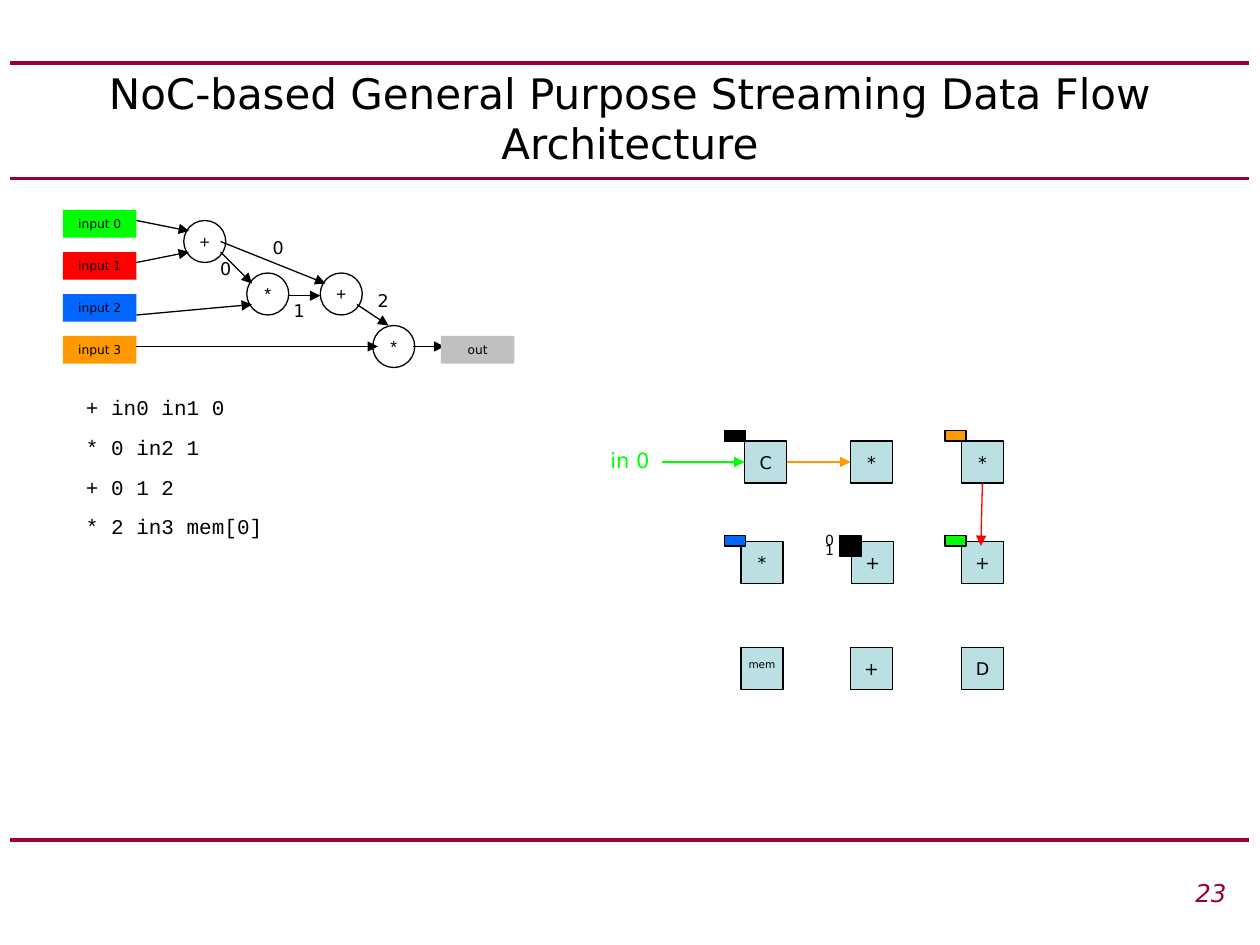
from lxml import etree
from pptx import Presentation
from pptx.dml.color import RGBColor
from pptx.enum.shapes import MSO_CONNECTOR, MSO_SHAPE
from pptx.enum.text import MSO_ANCHOR, PP_ALIGN
from pptx.oxml.ns import qn
from pptx.util import Pt

BLACK = RGBColor(0x00, 0x00, 0x00)
WHITE = RGBColor(0xFF, 0xFF, 0xFF)
MAROON = RGBColor(0x99, 0x00, 0x33)
TEAL = RGBColor(0xBB, 0xE0, 0xE3)
GREEN = RGBColor(0x00, 0xFF, 0x00)
RED = RGBColor(0xFF, 0x00, 0x00)
BLUE = RGBColor(0x00, 0x66, 0xFF)
ORANGE = RGBColor(0xFF, 0x99, 0x00)
GREY = RGBColor(0xC0, 0xC0, 0xC0)
SANS, ROUND, MONO = "DejaVu Sans", "Arial", "Courier New"


def write(paragraph, text, size, font=SANS, color=BLACK, align=PP_ALIGN.CENTER):
    paragraph.alignment = align
    run = paragraph.add_run()
    run.text = text
    run.font.size = Pt(size)
    run.font.name = font
    run.font.color.rgb = color
    return run


def add_text(slide, left, top, width, height, text, size, **style):
    """Add a text box with one paragraph for each line of text."""
    frame = slide.shapes.add_textbox(Pt(left), Pt(top), Pt(width), Pt(height)).text_frame
    frame.word_wrap = True
    for number, line in enumerate(text.split("\n")):
        paragraph = frame.add_paragraph() if number else frame.paragraphs[0]
        if number:
            paragraph.space_before = Pt(8.3)
        write(paragraph, line, size, **style)
    return frame


def add_block(slide, kind, left, top, width, height, fill, outlined=True,
              text="", size=10, font=SANS):
    block = slide.shapes.add_shape(kind, Pt(left), Pt(top), Pt(width), Pt(height))
    block.shadow.inherit = False
    block.fill.solid()
    block.fill.fore_color.rgb = fill
    if outlined:
        block.line.color.rgb = BLACK
        block.line.width = Pt(0.75)
    else:
        block.line.fill.background()
    if text:
        frame = block.text_frame
        frame.margin_left = frame.margin_right = 0
        frame.margin_top = frame.margin_bottom = 0
        frame.word_wrap = False
        frame.vertical_anchor = MSO_ANCHOR.MIDDLE
        write(frame.paragraphs[0], text, size, font)
    return block


def add_line(slide, start, end, color=BLACK, width=0.75, arrow=True):
    line = slide.shapes.add_connector(
        MSO_CONNECTOR.STRAIGHT, *(Pt(value) for value in (*start, *end)))
    line.line.color.rgb = color
    line.line.width = Pt(width)
    if arrow:
        etree.SubElement(line.line._get_or_add_ln(), qn("a:tailEnd"), type="triangle")
    etree.SubElement(line._element.spPr, qn("a:effectLst"))
    return line


def add_frame(slide, left, top, width, height):
    """Rules, title and slide number."""
    for rule in (top, top + 66, top + height):
        add_line(slide, (left, rule), (left + width, rule), MAROON, 2.25, arrow=False)
    title = add_text(slide, left + 30, top, width - 60, 62.6,
                     "NoC-based General Purpose Streaming Data Flow Architecture", 24)
    title.vertical_anchor = MSO_ANCHOR.MIDDLE
    number = add_text(slide, left + 264, top + height + 18, 438, 24, "23", 14,
                      color=MAROON, align=PP_ALIGN.RIGHT)
    number.paragraphs[0].runs[0].font.italic = True


def add_flow_graph(slide, left, top):
    port = 42, 15.84
    for row, color in enumerate((GREEN, RED, BLUE, ORANGE)):
        add_block(slide, MSO_SHAPE.RECTANGLE, left, top + 24 * row, *port, color,
                  outlined=False, text=f"input {row}", size=7)
    for x, y, operator in ((69, 6, "+"), (105, 36, "*"), (147, 36, "+"), (177, 66, "*")):
        add_block(slide, MSO_SHAPE.OVAL, left + x, top + y, 24, 24, WHITE,
                  text=operator, font=ROUND)
    edges = (
        (42, 6, 72, 12), (42, 30, 72, 24), (90, 24, 108, 42),
        (42, 60, 108, 54), (90, 18, 150, 42), (129, 49, 147, 49),
        (168, 54, 186, 66), (42, 78, 180, 78), (200, 78, 218, 78),
    )
    for x1, y1, x2, y2 in edges:
        add_line(slide, (left + x1, top + y1), (left + x2, top + y2))
    add_block(slide, MSO_SHAPE.RECTANGLE, left + 216, top + 72, *port, GREY,
              outlined=False, text="out", size=7)
    for x, y, label in ((108, 12, "0"), (78, 24, "0"), (120, 48, "1"), (168, 42, "2")):
        add_text(slide, left + x, top + y, 30, 19.4, label, 10)


def add_program(slide, left, top, width, height):
    add_text(slide, left, top, width, height,
             "+ in0 in1 0\n* 0 in2 1\n+ 0 1 2\n* 2 in3 mem[0]", 12,
             font=MONO, align=PP_ALIGN.LEFT)


def add_mesh(slide, left, top):
    """Grid of processing tiles with their operand flags and messages."""
    rows = (
        (6, (89.5, 150, 213.4), ("C", "*", "*")),
        (63.6, (87.4, 150.7, 213.4), ("*", "+", "+")),
        (124, (87.4, 150, 213.4), ("mem", "+", "D")),
    )
    tiles = []
    for y, columns, operators in rows:
        for x, operator in zip(columns, operators):
            tile = add_block(slide, MSO_SHAPE.RECTANGLE, left + x, top + y, 24, 24, TEAL,
                             text=operator, size=6 if operator == "mem" else 10)
            tile.text_frame.vertical_anchor = MSO_ANCHOR.TOP
            tile.text_frame.margin_top = Pt(6)
            tiles.append(tile)
    control, multiply, last_multiply = tiles[:3]

    flags = ((78, 0, BLACK), (204, 0, ORANGE), (78, 60, BLUE),
             (144, 60, BLACK), (144, 66, BLACK), (204, 60, GREEN))
    for x, y, color in flags:
        add_block(slide, MSO_SHAPE.RECTANGLE, left + x, top + y, 12, 6, color)
    for y, operand in ((54, "0"), (60, "1")):
        add_text(slide, left + 126, top + y, 24, 17, operand, 8)

    add_text(slide, left, top + 6, 48, 21.6, "in 0", 12, color=GREEN)
    incoming = add_line(slide, (left + 42, top + 18), (left + 89.5, top + 18), GREEN)
    incoming.end_connect(control, 1)
    across = add_line(slide, (left + 113.5, top + 18), (left + 150, top + 18), ORANGE)
    across.begin_connect(control, 3)
    across.end_connect(multiply, 1)
    down = add_line(slide, (left + 225, top + 30), (left + 224.5, top + 66), RED)
    down.begin_connect(last_multiply, 2)


def main():
    deck = Presentation()
    deck.slide_width, deck.slide_height = Pt(720), Pt(540)
    slide = deck.slides.add_slide(deck.slide_layouts[6])
    add_frame(slide, 6, 36, 708, 444)
    add_flow_graph(slide, 36, 120)
    add_program(slide, 42, 222, 120, 88)
    add_mesh(slide, 336, 246)
    deck.save("out.pptx")


if __name__ == "__main__":
    main()
